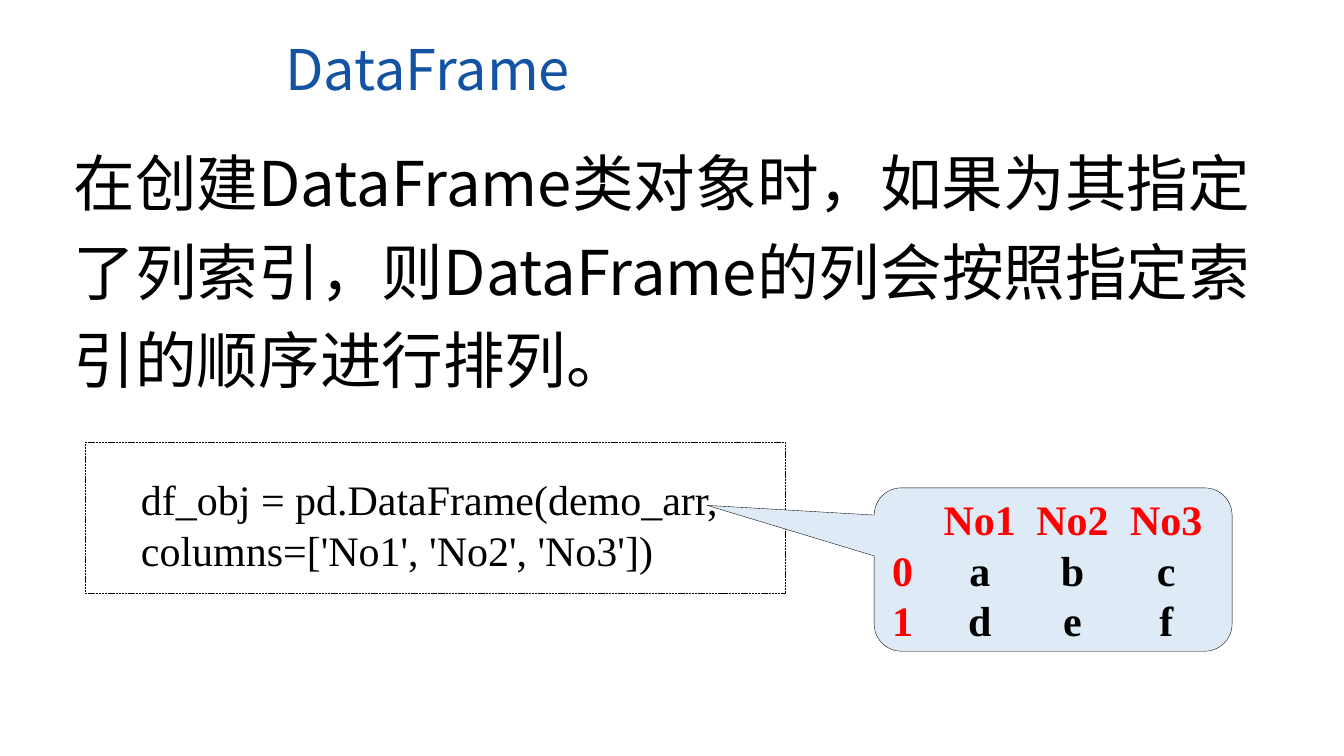
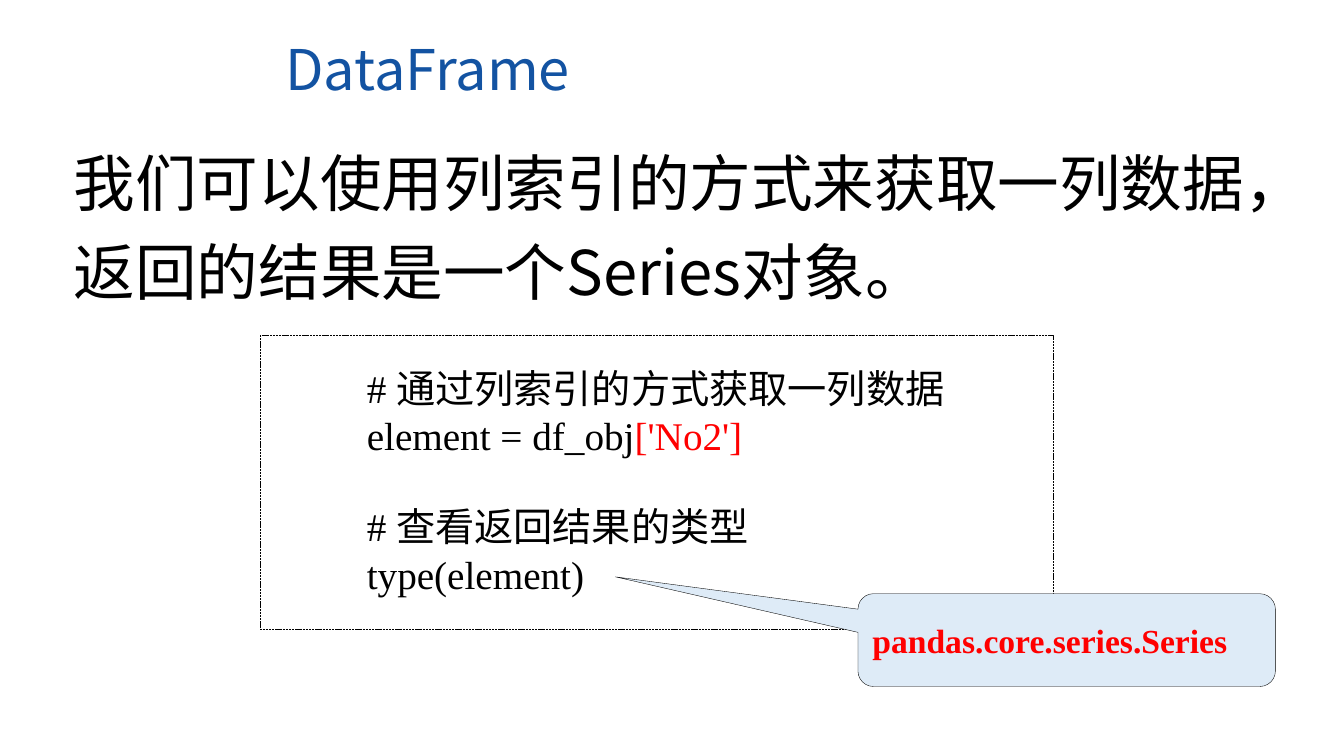
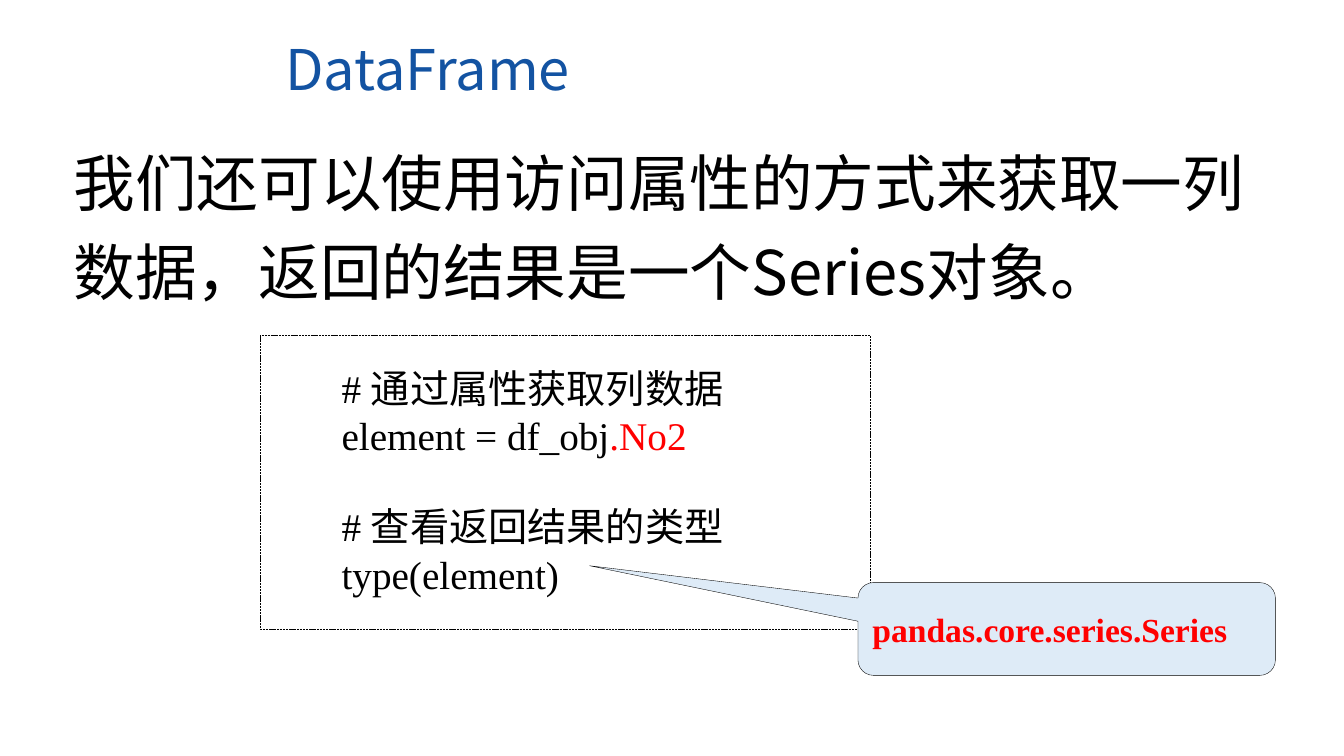
from lxml import etree
from pptx import Presentation
from pptx.dml.color import RGBColor
from pptx.enum.dml import MSO_LINE
from pptx.enum.shapes import MSO_SHAPE
from pptx.enum.text import MSO_ANCHOR, MSO_AUTO_SIZE, PP_ALIGN
from pptx.oxml.ns import qn
from pptx.util import Inches, Pt

LEFT, TOP, MIDDLE = PP_ALIGN.LEFT, MSO_ANCHOR.TOP, MSO_ANCHOR.MIDDLE
NO_FIT = MSO_AUTO_SIZE.NONE
RECT, CALLOUT = MSO_SHAPE.RECTANGLE, MSO_SHAPE.ROUNDED_RECTANGULAR_CALLOUT
DASH = MSO_LINE.SQUARE_DOT

COLORS = {"title": "1353A2", "text": "000000", "accent": "FF0000", "callout": "DEEBF7"}
SANS, SERIF = "Noto Sans CJK SC", "Times New Roman"
TITLE_BOX = (2.73, 0.29, 6.08, 0.77)
TABLE_TABS = (0.87, 1.79, 2.72)
SERIES_TYPE = [[("pandas.core.series.Series", "accent")]]


def rgb(name):
    return RGBColor.from_string(COLORS[name])


def place(sp, box):
    sp.left, sp.top, sp.width, sp.height = (Inches(v) for v in box)


def write(tf, lines, size, font, bold=False, anchor=TOP):
    """Fill a text frame; each line is a list of (text, colour name) runs."""
    tf.word_wrap, tf.auto_size, tf.vertical_anchor = True, NO_FIT, anchor
    for i, line in enumerate(lines):
        p = tf.paragraphs[0] if i == 0 else tf.add_paragraph()
        p.alignment = LEFT
        for text, color in line:
            r = p.add_run()
            r.text = text
            r.font.size, r.font.name, r.font.bold = Pt(size), font, bold
            r.font.color.rgb = rgb(color)
            ea = etree.SubElement(r.font._element, qn("a:ea"))
            ea.set("typeface", SANS)


def add_heading(slide, statement, height):
    title, body = slide.shapes.title, slide.placeholders[1]
    place(title, TITLE_BOX)
    write(title.text_frame, [[("DataFrame", "title")]], 40, SANS)
    place(body, (0.63, 1.24, 12.02, height))
    write(body.text_frame, [[(statement, "text")]], 44, SANS)
    p = body.text_frame.paragraphs[0]
    p.line_spacing, p.space_before = 1.2, Pt(0)
    pPr = p._p.get_or_add_pPr()
    pPr.set("marL", "0")
    pPr.set("indent", "0")
    etree.SubElement(pPr, qn("a:buNone"))


def add_code(slide, box, lines, size, inset):
    """Dashed frame with code set in by (x, y); returns the code's text frame."""
    x, y, w, h = box
    dx, dy = inset
    tb = slide.shapes.add_textbox(0, 0, 0, 0)
    place(tb, (x + dx, y + dy, 6.16, h - 2 * dy))
    write(tb.text_frame, lines, size, SERIF)
    frame = slide.shapes.add_shape(RECT, 0, 0, 0, 0)
    place(frame, box)
    frame.shadow.inherit = False
    frame.fill.background()
    frame.line.color.rgb = rgb("text")
    frame.line.width, frame.line.dash_style = Pt(0.5), DASH
    return tb.text_frame


def add_callout(slide, box, tip, lines, size, tabs=()):
    """Callout whose tip lies at the given shares of its size from its centre."""
    sp = slide.shapes.add_shape(CALLOUT, 0, 0, 0, 0)
    place(sp, box)
    sp.adjustments[0], sp.adjustments[1] = tip
    sp.shadow.inherit = False
    sp.fill.solid()
    sp.fill.fore_color.rgb = rgb("callout")
    sp.line.color.rgb = rgb("text")
    sp.line.width = Pt(0.25)
    write(sp.text_frame, lines, size, SERIF, True, MIDDLE)
    if tabs:
        for p in sp.text_frame.paragraphs:
            tab_list = etree.SubElement(p._p.get_or_add_pPr(), qn("a:tabLst"))
            for pos in tabs:
                tab = etree.SubElement(tab_list, qn("a:tab"))
                tab.set("pos", str(Inches(pos)))
                tab.set("algn", "ctr")


def new_slide(prs):
    return prs.slides.add_slide(prs.slide_layouts[1])


def index_slide(prs):
    slide = new_slide(prs)
    add_heading(slide, "在创建DataFrame类对象时，如果为其指定了列索引，"
                       "则DataFrame的列会按照指定索引的顺序进行排列。", 2.69)
    code = "df_obj = pd.DataFrame(demo_arr, columns=['No1', 'No2', 'No3'])"
    add_code(slide, (0.85, 4.39, 6.94, 1.5), [[(code, "text")]], 30, (0.45, 0.26))
    table = [[("\tNo1\tNo2\tNo3", "accent")],
             [("0", "accent"), ("\ta\tb\tc", "text")],
             [("1", "accent"), ("\td\te\tf", "text")]]
    add_callout(slide, (8.67, 4.84, 3.55, 1.62), (-0.967, -0.393), table, 30, TABLE_TABS)


def column_slide(prs, statement, comment, access, width, indent, callout_top, tip_x):
    """Slide that reads one column and shows the type of the result."""
    slide = new_slide(prs)
    add_heading(slide, statement, 1.88)
    lines = [[(comment, "text")],
             [("element = df_obj", "text"), (access, "accent")],
             [("# 查看返回结果的类型", "text")],
             [("type(element)", "text")]]
    tf = add_code(slide, (2.58, 3.33, width, 2.91), lines, 28, (indent, 0.23))
    tf.paragraphs[2].space_before = Pt(32)
    add_callout(slide, (8.51, callout_top, 4.14, 0.92), (tip_x, -0.682), SERIES_TYPE, 24)


def main():
    prs = Presentation()
    prs.slide_width, prs.slide_height = Inches(13.33), Inches(7.5)
    index_slide(prs)
    column_slide(prs, "我们可以使用列索引的方式来获取一列数据，返回的结果是一个Series对象。",
                 "# 通过列索引的方式获取一列数据", "['No2']", 7.87, 0.96, 5.89, -1.081)
    column_slide(prs, "我们还可以使用访问属性的方式来获取一列数据，返回的结果是一个Series对象。",
                 "# 通过属性获取列数据", ".No2", 6.05, 0.71, 5.78, -1.143)
    prs.save("out.pptx")


if __name__ == "__main__":
    main()
